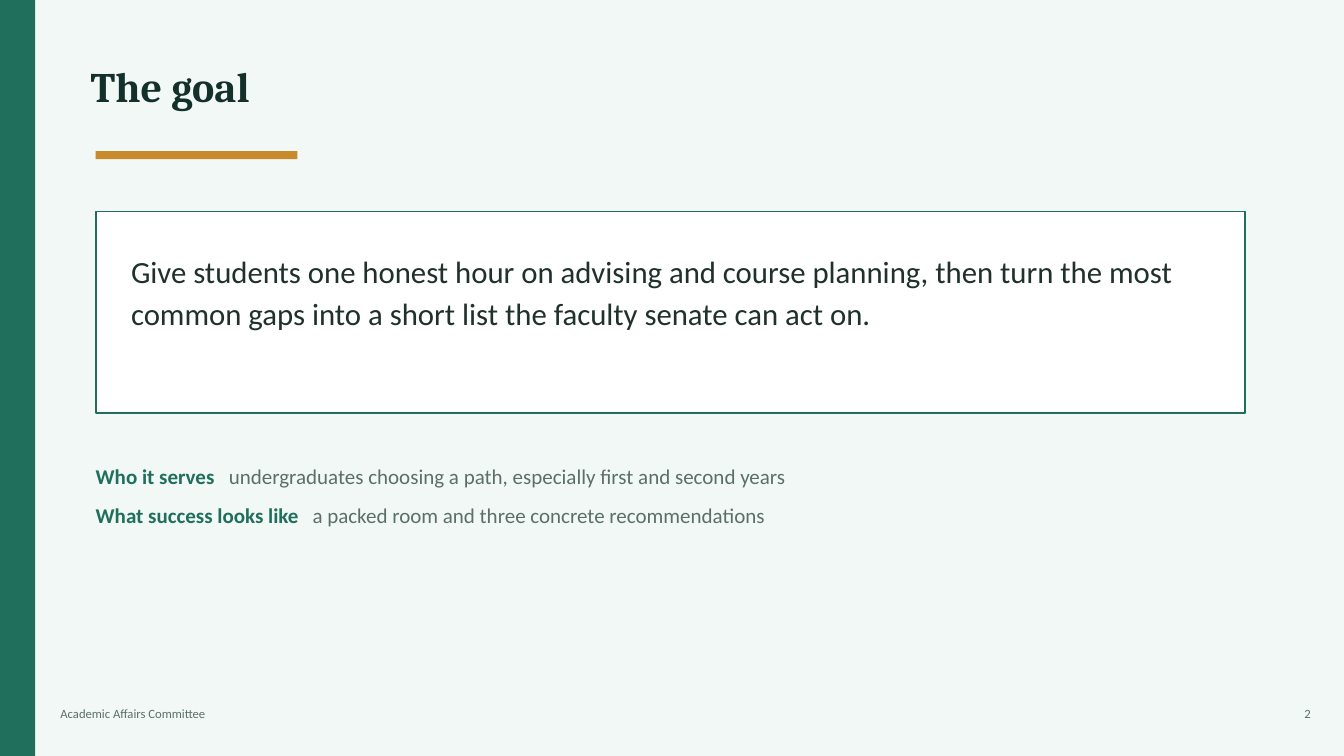
from dataclasses import dataclass
from typing import Optional

from lxml import etree
from pptx import Presentation
from pptx import util as u
from pptx.dml.color import RGBColor
from pptx.enum import shapes, text
from pptx.oxml import ns

PX = 9144
MINT = RGBColor(0xF2, 0xF8, 0xF5)
GREEN = RGBColor(0x1F, 0x6F, 0x5C)
DARK_GREEN = RGBColor(0x14, 0x30, 0x2A)
AMBER = RGBColor(0xC9, 0x8A, 0x2B)
WHITE = RGBColor(0xFF, 0xFF, 0xFF)
INK = RGBColor(0x20, 0x30, 0x2B)
GREY = RGBColor(0x5B, 0x6F, 0x68)


@dataclass(frozen=True)
class Box:
    x: int
    y: int
    w: int
    h: int

    def emu(self) -> tuple[int, int, int, int]:
        return self.x * PX, self.y * PX, self.w * PX, self.h * PX


@dataclass(frozen=True)
class Panel:
    box: Box
    fill: RGBColor
    line: Optional[RGBColor] = None


@dataclass(frozen=True)
class Label:
    box: Box
    words: str
    size: int
    color: RGBColor
    align: text.PP_ALIGN = text.PP_ALIGN.LEFT
    spacing: float = 1.0


@dataclass(frozen=True)
class Detail:
    term: str
    description: str
    tab: int


PANELS = [
    Panel(Box(0, 0, 35, 750), GREEN),
    Panel(Box(95, 150, 200, 8), AMBER),
    Panel(Box(95, 210, 1140, 200), WHITE, GREEN),
]
LABELS = [
    Label(
        Box(130, 245, 1080, 140),
        "Give students one honest hour on advising and course planning, "
        "then turn the most common gaps into a short list the faculty senate can act on.",
        22, INK, spacing=1.15,
    ),
    Label(Box(60, 700, 1213, 40), "Academic Affairs Committee", 9, GREY),
    Label(Box(1240, 700, 60, 40), "2", 9, GREY, text.PP_ALIGN.RIGHT),
]
DETAILS_BOX = Box(95, 460, 1140, 160)
DETAILS = [
    Detail("Who it serves", "undergraduates choosing a path, especially first and second years", 132),
    Detail("What success looks like", "a packed room and three concrete recommendations", 215),
]


def prepare_frame(tf) -> None:
    tf.margin_left = tf.margin_top = tf.margin_right = tf.margin_bottom = 0
    tf.word_wrap = True
    tf.auto_size = text.MSO_AUTO_SIZE.NONE
    tf.vertical_anchor = text.MSO_ANCHOR.TOP


def set_font(font, name: str, size: int, color: RGBColor, bold: bool = False) -> None:
    font.name = name
    font.size = u.Pt(size)
    font.bold = bold
    font.color.rgb = color


def add_title(s, box: Box, words: str) -> None:
    sp = s.shapes.title
    sp.left, sp.top, sp.width, sp.height = box.emu()
    prepare_frame(sp.text_frame)
    p = sp.text_frame.paragraphs[0]
    p.text = words
    p.alignment = text.PP_ALIGN.LEFT
    set_font(p.font, "Cambria", 30, DARK_GREEN, True)


def add_panel(s, panel: Panel) -> None:
    sp = s.shapes.add_shape(shapes.MSO_SHAPE.RECTANGLE, *panel.box.emu())
    sp.shadow.inherit = False
    sp.fill.solid()
    sp.fill.fore_color.rgb = panel.fill
    if panel.line is None:
        sp.line.fill.background()
    else:
        sp.line.color.rgb = panel.line
        sp.line.width = u.Pt(1.2)


def add_text_frame(s, box: Box):
    tf = s.shapes.add_textbox(*box.emu()).text_frame
    prepare_frame(tf)
    return tf


def add_label(s, label: Label) -> None:
    p = add_text_frame(s, label.box).paragraphs[0]
    p.text = label.words
    p.alignment = label.align
    p.line_spacing = label.spacing
    set_font(p.font, "Calibri", label.size, label.color)


def add_details(s, box: Box, details: list[Detail]) -> None:
    tf = add_text_frame(s, box)
    for i, detail in enumerate(details):
        p = tf.add_paragraph() if i else tf.paragraphs[0]
        tabs = etree.SubElement(p._p.get_or_add_pPr(), ns.qn("a:tabLst"))
        etree.SubElement(tabs, ns.qn("a:tab"), pos=str(detail.tab * PX), algn="l")
        p.space_after = u.Pt(10)
        for words, color, bold in (
            (detail.term + "\t", GREEN, True),
            (detail.description, GREY, False),
        ):
            r = p.add_run()
            r.text = words
            set_font(r.font, "Calibri", 15, color, bold)


def main() -> None:
    prs = Presentation()
    prs.slide_width, prs.slide_height = 1333 * PX, 750 * PX
    s = prs.slides.add_slide(prs.slide_layouts[5])
    s.background.fill.solid()
    s.background.fill.fore_color.rgb = MINT
    add_title(s, Box(90, 60, 1150, 100), "The goal")
    for panel in PANELS:
        add_panel(s, panel)
    for label in LABELS:
        add_label(s, label)
    add_details(s, DETAILS_BOX, DETAILS)
    prs.save("out.pptx")


if __name__ == "__main__":
    main()
